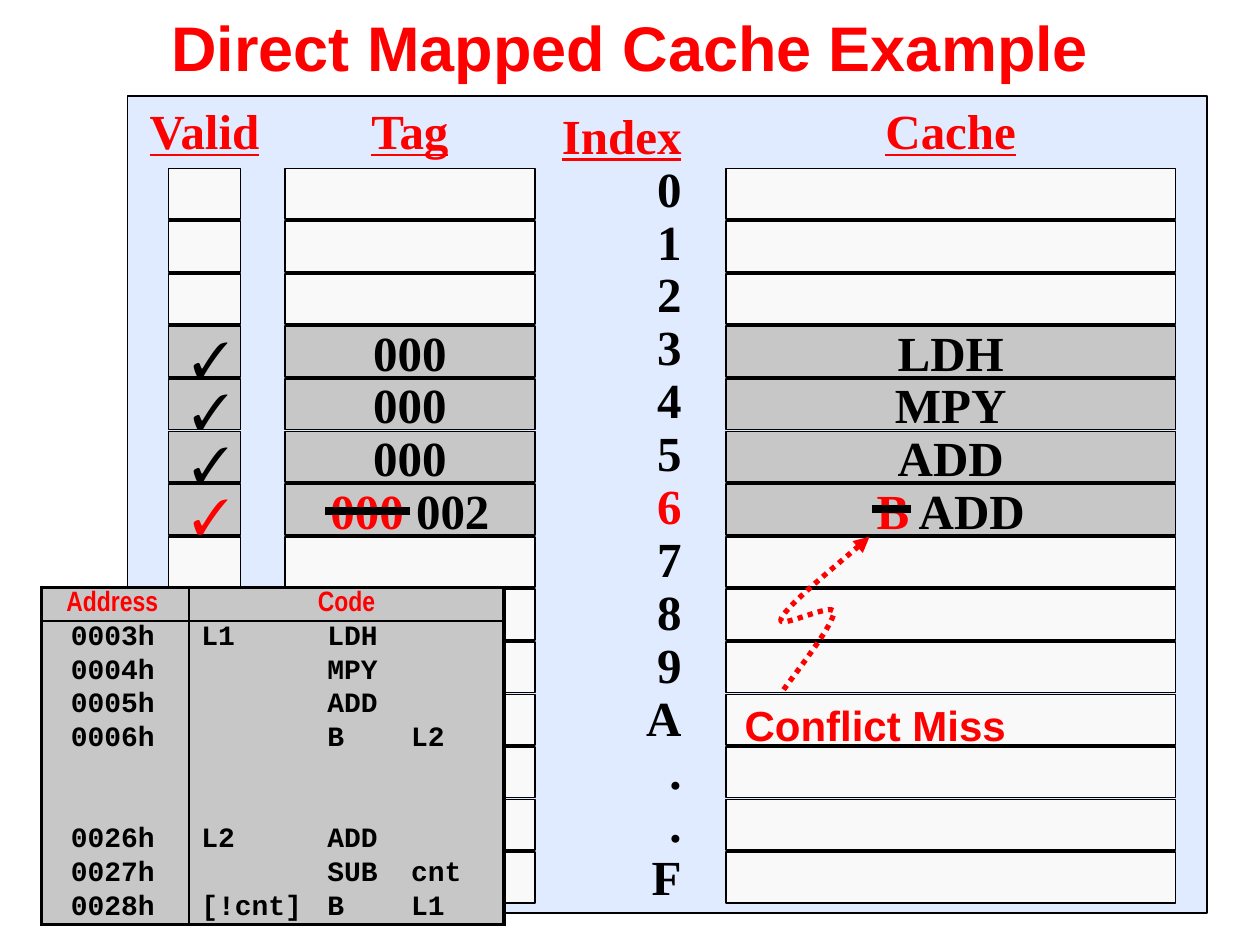
from lxml import etree
from pptx import Presentation
from pptx.dml.color import RGBColor
from pptx.enum.dml import MSO_LINE
from pptx.enum.shapes import MSO_CONNECTOR, MSO_SHAPE
from pptx.enum.text import MSO_ANCHOR, MSO_AUTO_SIZE, PP_ALIGN
from pptx.oxml.ns import qn
from pptx.util import Cm, Pt

LEFT, CENTER, RIGHT = PP_ALIGN.LEFT, PP_ALIGN.CENTER, PP_ALIGN.RIGHT
MIDDLE = MSO_ANCHOR.MIDDLE
GROW = MSO_AUTO_SIZE.SHAPE_TO_FIT_TEXT
RECTANGLE, STRAIGHT = MSO_SHAPE.RECTANGLE, MSO_CONNECTOR.STRAIGHT
DOTTED = MSO_LINE.ROUND_DOT

THEME = {
    "red": "FF0000", "black": "000000",
    "panel": "E0EBFF", "empty": "F9F9F9", "used": "C7C7C7",
    "sans": "Arial", "narrow": "Arial Narrow",
    "serif": "Times New Roman", "mono": "Courier New",
    "title_size": 36, "cache_size": 28, "note_size": 24, "code_size": 16,
    "thin": 1, "frame": 2.25, "arrow": 3, "strike": 4.5,
}
RED, BLACK = THEME["red"], THEME["black"]

TITLE = "Direct Mapped Cache Example"
INDEXES = ["0", "1", "2", "3", "4", "5", "6", "7", "8", "9", "A", ".", ".", "F"]
CONFLICT_INDEX = "6"
# Each column: heading, heading width, left, width, line spacing, runs by row
COLUMNS = [
    ("Cache", 3.18, 14.63, 9.07, 1.0, {
        3: [("LDH", BLACK)], 4: [("MPY", BLACK)], 5: [("ADD", BLACK)],
        6: [("B", RED), (" ADD", BLACK)]}),
    ("Tag", 3.68, 5.74, 5.05, 1.0, {
        3: [("000", BLACK)], 4: [("000", BLACK)], 5: [("000", BLACK)],
        6: [("000 ", RED), ("002", BLACK)]}),
    ("Valid", 4.09, 3.4, 1.45, 1.2, {
        3: [(" ✓", BLACK)], 4: [(" ✓", BLACK)], 5: [(" ✓", BLACK)],
        6: [(" ", BLACK), ("✓", RED)]}),
]
CODE_ROWS = [
    ("Address", "Code"),
    ("0003h", "L1\tLDH"),
    ("0004h", "\tMPY"),
    ("0005h", "\tADD"),
    ("0006h", "\tB\tL2"),
    ("", ""),
    ("", ""),
    ("0026h", "L2\tADD"),
    ("0027h", "\tSUB\tcnt"),
    ("0028h", "[!cnt]\tB\tL1"),
]
STRIKES = [(8.26, 6.55, 10.31), (18.36, 17.58, 10.26)]  # from x, to x, y
# Start point, then two control points and an end point per curve
ARROW_POINTS = [
    (17.53, 10.82),
    (17.22, 11.1), (15.85, 12.22), (15.75, 12.47),
    (15.62, 12.73), (16.81, 12.12), (16.81, 12.34),
    (16.81, 12.6), (15.98, 13.64), (15.75, 13.97),
]
HEADING_TOP, HEADING_HEIGHT = 2.13, 1.22
CELL_TOP, CELL_HEIGHT, CELL_PITCH = 3.4, 1.02, 1.06
CODE_COLUMN_WIDTHS, CODE_ROW_HEIGHT = (2.97, 6.35), 0.68
CODE_TABS = (2.54, 4.23)


def color(name):
    return RGBColor.from_string(name)


def write_text(frame, lines, font, size, align=LEFT, spacing=None,
               wrap=False, underline_first=False):
    """Fill a text frame; each line is a list of (text, colour) runs."""
    frame.word_wrap = wrap
    for number, runs in enumerate(lines):
        paragraph = frame.paragraphs[0] if number == 0 else frame.add_paragraph()
        paragraph.alignment = align
        if spacing:
            paragraph.line_spacing = spacing
        for text, text_color in runs:
            run = paragraph.add_run()
            run.text = text
            run.font.name, run.font.size, run.font.bold = font, Pt(size), True
            run.font.color.rgb = color(text_color)
            if underline_first and number == 0:
                run.font.underline = True


def add_label(slide, box, lines, font, size, **text_format):
    frame = slide.shapes.add_textbox(*map(Cm, box)).text_frame
    write_text(frame, lines, font, size, **text_format)
    frame.auto_size = GROW


def add_box(slide, box, fill):
    shape = slide.shapes.add_shape(RECTANGLE, *map(Cm, box))
    shape.shadow.inherit = False
    shape.fill.solid()
    shape.fill.fore_color.rgb = color(fill)
    shape.line.color.rgb = color(BLACK)
    shape.line.width = Pt(THEME["thin"])
    return shape


def add_title(slide):
    title = slide.shapes.title
    title.left, title.top, title.width, title.height = map(Cm, (0, 0, 25.4, 2.06))
    frame = title.text_frame
    frame.vertical_anchor = MIDDLE
    frame.margin_bottom = Cm(0.3)
    write_text(frame, [[(TITLE, RED)]], THEME["sans"], THEME["title_size"],
               align=CENTER, wrap=True)


def add_cache(slide):
    serif, size = THEME["serif"], THEME["cache_size"]
    add_box(slide, (2.57, 1.93, 21.77, 16.48), THEME["panel"])
    index_lines = [[("Index", RED)]] + [
        [(index, RED if index == CONFLICT_INDEX else BLACK)] for index in INDEXES]
    add_label(slide, (11.07, HEADING_TOP, 2.92, 16.26), index_lines, serif, size,
              align=RIGHT, spacing=0.9, underline_first=True)
    for heading, heading_width, left, width, spacing, entries in COLUMNS:
        for row in range(len(INDEXES)):
            box = (left, CELL_TOP + row * CELL_PITCH, width, CELL_HEIGHT)
            shape = add_box(slide, box, THEME["used" if row in entries else "empty"])
            if row in entries:
                shape.text_frame.vertical_anchor = MIDDLE
                write_text(shape.text_frame, [entries[row]], serif, size,
                           align=CENTER, spacing=spacing)
        heading_left = left + (width - heading_width) / 2
        add_label(slide, (heading_left, HEADING_TOP, heading_width, HEADING_HEIGHT),
                  [[(heading, RED)]], serif, size,
                  align=CENTER, spacing=0.8, underline_first=True)


def add_strikes(slide):
    for start, end, y in STRIKES:
        line = slide.shapes.add_connector(STRAIGHT, Cm(start), Cm(y), Cm(end), Cm(y))
        line.line.color.rgb = color(BLACK)
        line.line.width = Pt(THEME["strike"])
        etree.SubElement(line._element.spPr, qn("a:effectLst"))


def add_conflict_arrow(slide):
    points = [(Cm(x), Cm(y)) for x, y in ARROW_POINTS]
    builder = slide.shapes.build_freeform(*points[0])
    builder.add_line_segments(points[1:], close=False)
    arrow = builder.convert_to_shape()
    arrow.shadow.inherit = False
    arrow.fill.background()
    arrow.line.color.rgb = color(RED)
    arrow.line.width = Pt(THEME["arrow"])
    arrow.line.dash_style = DOTTED
    etree.SubElement(arrow.line._get_or_add_ln(), qn("a:headEnd"), type="triangle")
    # Turn every three straight segments into one cubic curve
    segments = list(arrow._element.iter(qn("a:lnTo")))
    outline = segments[0].getparent()
    for first in range(0, len(segments), 3):
        curve = etree.SubElement(outline, qn("a:cubicBezTo"))
        for segment in segments[first:first + 3]:
            curve.append(segment[0])
            outline.remove(segment)
    add_label(slide, (14.76, 13.97, 5.77, 1.27), [[("Conflict Miss", RED)]],
              THEME["sans"], THEME["note_size"])


def set_borders(cell, widths):
    """Draw the sides left, right, top and bottom; None means no line."""
    properties = cell._tc.get_or_add_tcPr()
    for position, (side, width) in enumerate(zip("LRTB", widths)):
        line = etree.Element(qn("a:ln" + side), w=str(Pt(width or 0)))
        if width:
            fill = etree.SubElement(line, qn("a:solidFill"))
            etree.SubElement(fill, qn("a:srgbClr"), val=BLACK)
        else:
            etree.SubElement(line, qn("a:noFill"))
        properties.insert(position, line)


def add_code_table(slide):
    last = len(CODE_ROWS) - 1
    thin, thick = THEME["thin"], THEME["frame"]
    table = slide.shapes.add_table(
        len(CODE_ROWS), 2, Cm(0.84), Cm(11.84), Cm(sum(CODE_COLUMN_WIDTHS)),
        Cm(CODE_ROW_HEIGHT * len(CODE_ROWS))).table
    for column, width in zip(table.columns, CODE_COLUMN_WIDTHS):
        column.width = Cm(width)
    for row, texts in enumerate(CODE_ROWS):
        table.rows[row].height = Cm(CODE_ROW_HEIGHT)
        header = row == 0
        for column, text in enumerate(texts):
            cell = table.cell(row, column)
            cell.fill.solid()
            cell.fill.fore_color.rgb = color(THEME["used"])
            cell.vertical_anchor = MIDDLE
            cell.margin_top = cell.margin_bottom = 0
            cell.margin_left = Cm(0.25 if column else 0.5 if header else 0.59)
            cell.margin_right = Cm(0.25)
            runs = [(text, RED if header else BLACK)] if text else []
            write_text(cell.text_frame, [runs],
                       THEME["narrow" if header else "mono"], THEME["code_size"],
                       align=CENTER if header and column else LEFT, wrap=True)
            paragraph = cell.text_frame.paragraphs[0]._p
            if not text:
                etree.SubElement(paragraph, qn("a:endParaRPr"),
                                 sz=str(THEME["code_size"] * 100))
            if "\t" in text:
                tabs = etree.SubElement(paragraph.get_or_add_pPr(), qn("a:tabLst"))
                for stop in CODE_TABS:
                    etree.SubElement(tabs, qn("a:tab"), pos=str(Cm(stop)), algn="l")
            set_borders(cell, (thin if column else thick, thick if column else thin,
                               thick if header else thin if row == 1 else None,
                               thin if header else thick if row == last else None))


def main():
    presentation = Presentation()
    presentation.slide_width, presentation.slide_height = Cm(25.4), Cm(19.05)
    slide = presentation.slides.add_slide(presentation.slide_layouts[5])
    add_title(slide)
    add_cache(slide)
    add_strikes(slide)
    add_conflict_arrow(slide)
    add_code_table(slide)
    presentation.save("out.pptx")


if __name__ == "__main__":
    main()
